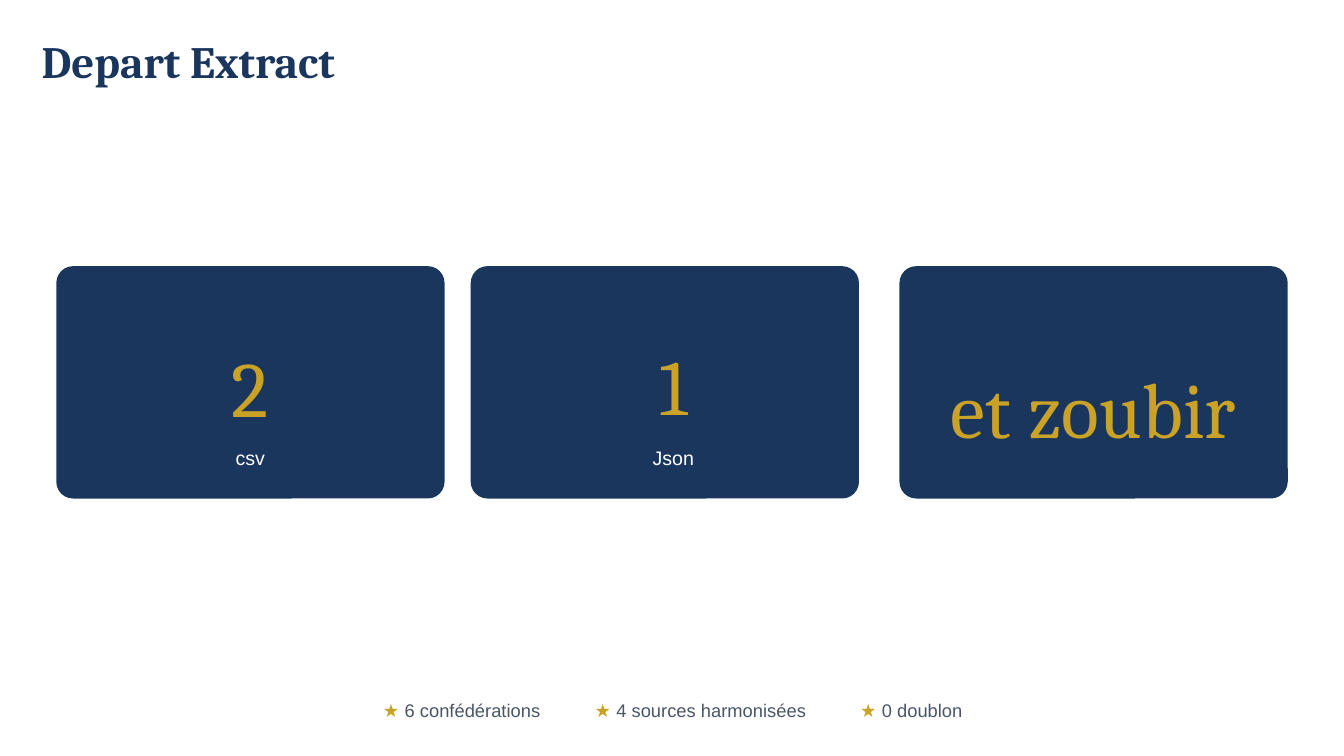
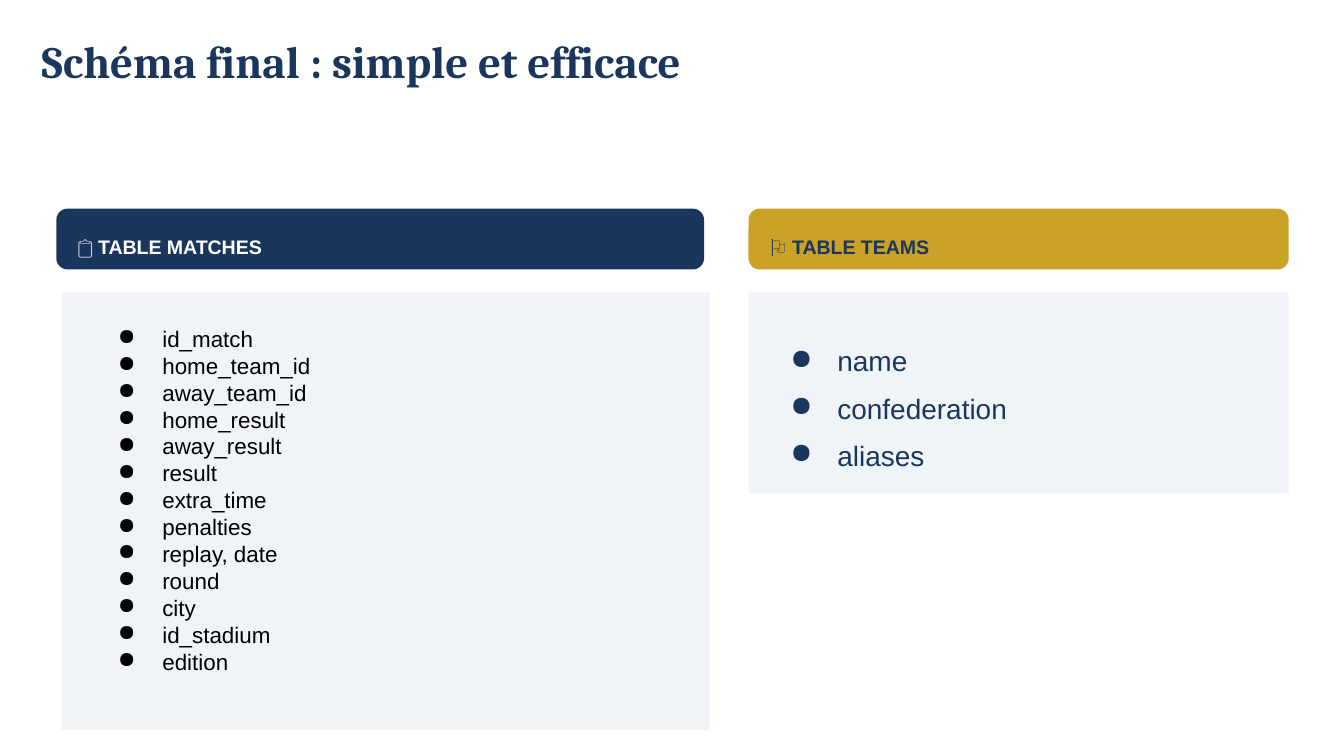
from lxml.etree import SubElement
from pptx import Presentation
from pptx.dml.color import RGBColor
from pptx.enum.shapes import MSO_SHAPE
from pptx.enum.text import MSO_ANCHOR, MSO_AUTO_SIZE, PP_ALIGN
from pptx.oxml.ns import qn
from pptx.util import Pt

NAVY = RGBColor(0x1A, 0x36, 0x5D)
GOLD = RGBColor(0xC9, 0xA2, 0x27)
PALE = RGBColor(0xF0, 0xF4, 0xF8)
GRAY = RGBColor(0x4A, 0x55, 0x68)
WHITE = RGBColor(0xFF, 0xFF, 0xFF)
BLACK = RGBColor(0x00, 0x00, 0x00)
HEADING_FONT, BODY_FONT = "Cambria", "Arial"


def add_panel(page, left, top, width, height, color, corner=None):
    kind = MSO_SHAPE.RECTANGLE if corner is None else MSO_SHAPE.ROUNDED_RECTANGLE
    panel = page.shapes.add_shape(kind, Pt(left), Pt(top), Pt(width), Pt(height))
    if corner is not None:
        panel.adjustments[0] = corner / min(width, height)
    panel.shadow.inherit = False
    panel.fill.solid()
    panel.fill.fore_color.rgb = color
    panel.line.fill.background()


def add_text(page, left, top, width, height, lines, size, color, font=BODY_FONT,
             bold=False, align=PP_ALIGN.LEFT, spacing=1.4, inset=0, hanging=None):
    """Each line is a list of (text, color) spans or a plain string."""
    box = page.shapes.add_textbox(Pt(left), Pt(top), Pt(width), Pt(height))
    frame = box.text_frame
    frame.word_wrap = True
    frame.margin_left = frame.margin_top = Pt(inset)
    frame.margin_right = frame.margin_bottom = Pt(inset)
    for index, line in enumerate(lines):
        para = frame.paragraphs[0] if index == 0 else frame.add_paragraph()
        para.alignment = align
        para.line_spacing = spacing
        if hanging:
            properties = para._p.get_or_add_pPr()
            properties.set("marL", str(Pt(36)))
            properties.set("indent", str(-Pt(hanging)))
            bullet_color = SubElement(properties, qn("a:buClr"))
            SubElement(bullet_color, qn("a:srgbClr")).set("val", str(color))
            SubElement(properties, qn("a:buChar")).set("char", "●")
        para.font.name = font
        para.font.size = Pt(size)
        para.font.bold = bold
        para.font.color.rgb = color
        if isinstance(line, str):
            para.add_run().text = line
        else:
            for text, span_color in line:
                span = para.add_run()
                span.text = text
                span.font.color.rgb = span_color


deck = Presentation()
deck.slide_width, deck.slide_height = Pt(720), Pt(405)

# Pages and their titles
pages = []
for heading in ["Depart Extract", "Schéma final : simple et efficace"]:
    page = deck.slides.add_slide(deck.slide_layouts[5])
    title = page.shapes.title
    title.left, title.top, title.width, title.height = Pt(22.3), Pt(18), Pt(416), Pt(24)
    frame = title.text_frame
    frame.text = heading
    frame.auto_size = MSO_AUTO_SIZE.NONE
    frame.vertical_anchor = MSO_ANCHOR.TOP
    frame.margin_left = frame.margin_top = frame.margin_right = frame.margin_bottom = 0
    para = frame.paragraphs[0]
    para.alignment = PP_ALIGN.LEFT
    para.font.name = HEADING_FONT
    para.font.size = Pt(24)
    para.font.bold = True
    para.font.color.rgb = NAVY
    pages.append(page)
extract_page, schema_page = pages

# Source cards: card left, text center, figure top, figure, label
cards = [
    (30.2, 134, 161.3, "2", "csv"),
    (252.2, 360.7, 160.6, "1", "Json"),
    (481.9, 585.7, 172.8, "et zoubir", None),
]
for left, center, figure_top, figure, label in cards:
    add_panel(extract_page, left, 142.6, 208, 124.5, NAVY, corner=9)
    add_text(extract_page, center - 95, figure_top, 190, 59, [figure], 42, GOLD,
             font=HEADING_FONT, align=PP_ALIGN.CENTER)
    if label:
        add_text(extract_page, center - 45, 234, 90, 14.4, [label], 10.5, WHITE,
                 align=PP_ALIGN.CENTER)

# Starred facts at the foot
facts = [
    (205.2, 86, "6 confédérations"),
    (318.6, 116, "4 sources harmonisées"),
    (460.8, 57, "0 doublon"),
]
for left, width, fact in facts:
    add_text(extract_page, left, 370, width, 13.7,
             [[("★", GOLD), (" " + fact, GRAY)]], 9.8, GRAY)

# Table headers and panels: left, panel left, width, panel height, colors, name
tables = [
    (30.2, 33.2, 347, 234.7, NAVY, WHITE, "📋 TABLE MATCHES"),
    (401, 401, 289.4, 108, GOLD, NAVY, "🏳️ TABLE TEAMS"),
]
for left, panel_left, width, panel_height, fill, color, name in tables:
    add_panel(schema_page, left, 111.8, width, 32.6, fill, corner=6)
    add_text(schema_page, left + 11.6, 121, width - 18, 14.4, [name], 10.5, color, bold=True)
    add_panel(schema_page, panel_left, 156.4, width, panel_height, PALE)

# Columns of each table
team_columns = ["name", "confederation", "aliases"]
match_columns = [
    "id_match", "home_team_id", "away_team_id", "home_result", "away_result",
    "result", "extra_time", "penalties", "replay, date", "round", "city",
    "id_stadium", "edition",
]
add_text(schema_page, 412.6, 177.1, 270.7, 67.7, team_columns, 15, NAVY, hanging=25.2)
add_text(schema_page, 43.9, 167, 321, 151.2, match_columns, 12, BLACK,
         spacing=1.0, inset=7.2, hanging=23.8)

deck.save("out.pptx")
